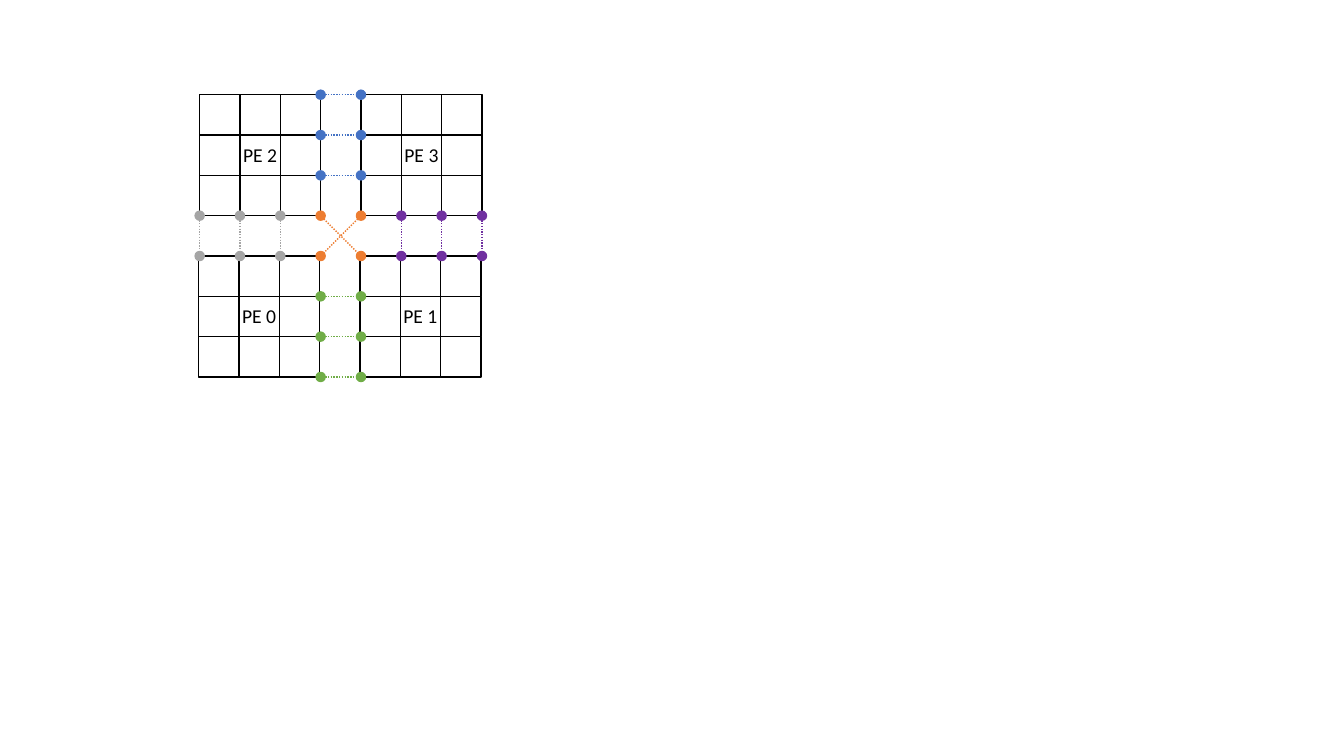
"""Draw four 3 x 3 processor grids with their shared boundary nodes linked."""
from itertools import chain, product
from math import hypot

from lxml.etree import SubElement
from pptx import Presentation
from pptx.dml.color import RGBColor
from pptx.enum.dml import MSO_LINE
from pptx.enum.shapes import MSO_CONNECTOR, MSO_SHAPE
from pptx.enum.text import MSO_AUTO_SIZE, PP_ALIGN
from pptx.oxml.ns import qn
from pptx.util import Inches, Pt

LEFT, TOP, CELL = 1.98, 0.94, 0.4
CELLS_PER_SIDE = 3
BLOCK_STEP = CELLS_PER_SIDE + 1
LOWER_SHIFT = -0.01
DOT = 0.09
BLUE, ORANGE, GREEN = "4472C4", "ED7D31", "70AD47"
GREY, PURPLE, BLACK = "A5A5A5", "7030A0", "000000"

BLOCKS = {"PE 2": (0, 0), "PE 3": (BLOCK_STEP, 0),
          "PE 0": (0, BLOCK_STEP), "PE 1": (BLOCK_STEP, BLOCK_STEP)}


def color(value):
    return RGBColor.from_string(value)


def node(column, row):
    return LEFT + CELL * column, TOP + CELL * row


def block_corner(column, row):
    x, y = node(column, row)
    return x + (LOWER_SHIFT if row else 0), y


def style_line(line, value):
    line.color.rgb = color(value)
    line.width = Pt(1)


def add_outline(page, kind, x, y, size, line_color, fill_color=None):
    shape = page.shapes.add_shape(kind, *map(Inches, (x, y, size, size)))
    shape.shadow.inherit = False
    style_line(shape.line, line_color)
    if fill_color:
        shape.fill.solid()
        shape.fill.fore_color.rgb = color(fill_color)
    else:
        shape.fill.background()


def add_block(page, column, row):
    x, y = block_corner(column, row)
    for j, i in product(range(CELLS_PER_SIDE), repeat=2):
        add_outline(page, MSO_SHAPE.RECTANGLE, x + i * CELL, y + j * CELL,
                    CELL, BLACK)


def add_dot(page, place, value):
    x, y = node(*place)
    add_outline(page, MSO_SHAPE.OVAL, x - DOT / 2, y - DOT / 2, DOT,
                value, value)


def add_link(page, start, end, value):
    (x1, y1), (x2, y2) = node(*start), node(*end)
    share = DOT / 2 / hypot(x2 - x1, y2 - y1)
    dx, dy = (x2 - x1) * share, (y2 - y1) * share
    link = page.shapes.add_connector(
        MSO_CONNECTOR.STRAIGHT,
        *map(Inches, (x1 + dx, y1 + dy, x2 - dx, y2 - dy)))
    style_line(link.line, value)
    link.line.dash_style = MSO_LINE.ROUND_DOT
    SubElement(link._element.spPr, qn("a:effectLst"))


def add_label(page, text, column, row):
    x, y = block_corner(column, row)
    box = page.shapes.add_textbox(
        *map(Inches, (x + 0.31, y + 0.43, 0.58, 0.34)))
    box.text_frame.word_wrap = False
    box.text_frame.auto_size = MSO_AUTO_SIZE.SHAPE_TO_FIT_TEXT
    para = box.text_frame.paragraphs[0]
    para.text = text
    para.alignment = PP_ALIGN.CENTER
    para.font.name = "Calibri"
    para.font.size = Pt(14)
    para.font.color.rgb = color(BLACK)


def boundary_links():
    near, far = CELLS_PER_SIDE, BLOCK_STEP
    last = near + far
    across = [((near, row), (far, row), value)
              for rows, value in ((range(near), BLUE),
                                  (range(far + 1, last + 1), GREEN))
              for row in rows]
    down = [((column, near), (column, far), value)
            for columns, value in ((range(near), GREY),
                                   (range(far + 1, last + 1), PURPLE))
            for column in columns]
    crossing = [((near, near), (far, far), ORANGE),
                ((far, near), (near, far), ORANGE)]
    return list(chain(across, down, crossing))


def main():
    deck = Presentation()
    deck.slide_width, deck.slide_height = Inches(13.33), Inches(7.5)
    page = deck.slides.add_slide(deck.slide_layouts[6])
    links = boundary_links()
    for corner in BLOCKS.values():
        add_block(page, *corner)
    for start, end, value in links:
        add_dot(page, start, value)
        add_dot(page, end, value)
    for link in links:
        add_link(page, *link)
    for text, corner in BLOCKS.items():
        add_label(page, text, *corner)
    deck.save("out.pptx")


if __name__ == "__main__":
    main()
